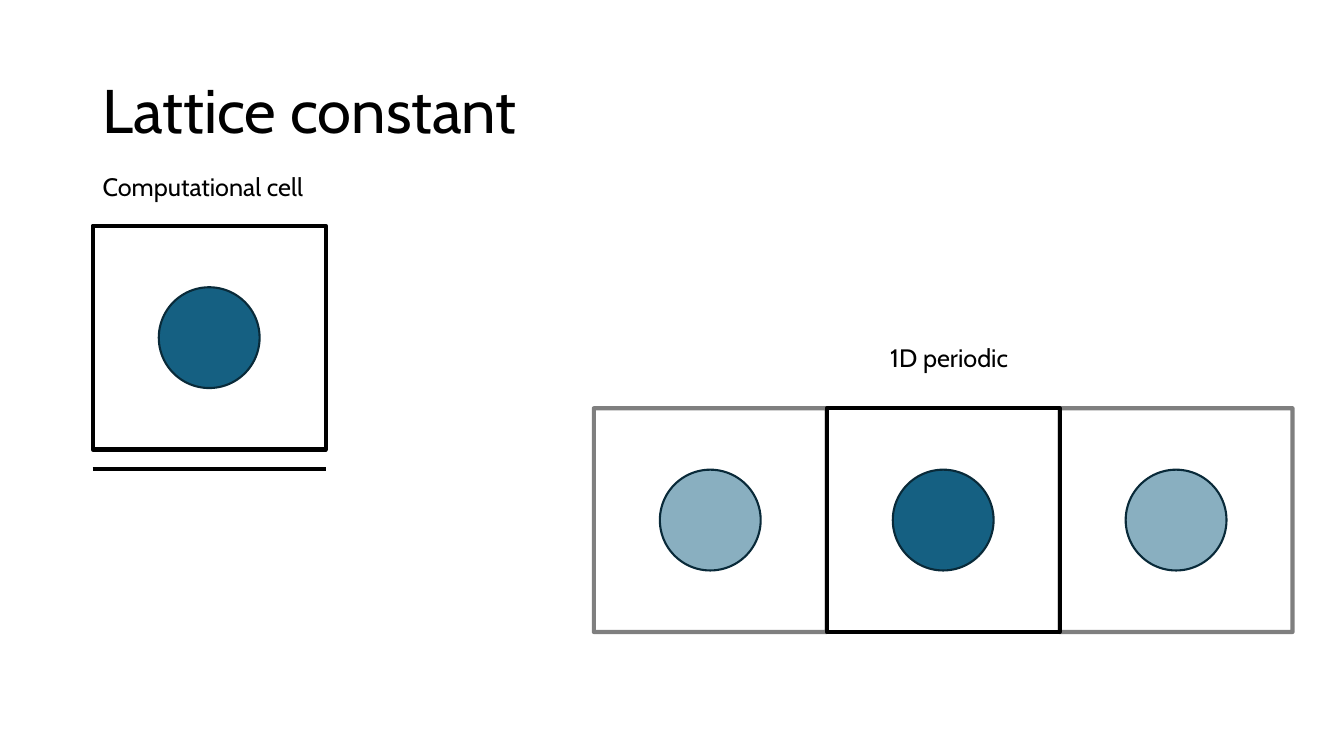
from lxml import etree
from pptx import Presentation
from pptx.dml.color import RGBColor
from pptx.enum.shapes import MSO_CONNECTOR, MSO_SHAPE
from pptx.enum.text import MSO_ANCHOR, PP_ALIGN
from pptx.oxml.ns import qn
from pptx.util import Inches, Pt

BLACK = RGBColor(0x00, 0x00, 0x00)
ATOM_BLUE = RGBColor(0x15, 0x60, 0x82)
ATOM_EDGE = RGBColor(0x09, 0x2A, 0x39)

CELL_WIDTH, CELL_HEIGHT, ATOM_SIZE = 2.31, 2.22, 1
CELL_LEFT, CELL_TOP = 0.92, 2.24
PERIODIC_LEFT, PERIODIC_TOP = 5.89, 4.05


def write(frame, text, size):
    para = frame.paragraphs[0]
    para.alignment = PP_ALIGN.LEFT
    span = para.add_run()
    span.text = text
    formats = {"name": "Cabin", "size": Pt(size)}
    for name, value in formats.items():
        setattr(span.font, name, value)
    span.font.color.rgb = BLACK
    return para


def add_cell(left, top, is_image):
    """Draw an atom centred in its cell; a periodic image is half transparent."""
    atom = slide.shapes.add_shape(
        MSO_SHAPE.OVAL,
        Inches(left + (CELL_WIDTH - ATOM_SIZE) / 2),
        Inches(top + (CELL_HEIGHT - ATOM_SIZE) / 2),
        Inches(ATOM_SIZE), Inches(ATOM_SIZE))
    atom.fill.solid()
    atom.fill.fore_color.rgb = ATOM_BLUE
    atom.line.color.rgb = ATOM_EDGE
    atom.line.width = Pt(1.5)

    cell = slide.shapes.add_shape(
        MSO_SHAPE.RECTANGLE, Inches(left), Inches(top),
        Inches(CELL_WIDTH), Inches(CELL_HEIGHT))
    cell.fill.background()
    cell.line.color.rgb = BLACK
    cell.line.width = Pt(3)

    for shape in (atom, cell):
        shape.shadow.inherit = False
    if is_image:
        for paint in (atom.fill, cell.line.fill):
            color = paint._xPr.find(qn("a:solidFill"))[0]
            etree.SubElement(color, qn("a:alpha"), val="50000")


deck = Presentation()
deck.slide_width, deck.slide_height = Inches(13.33), Inches(7.5)
slide = deck.slides.add_slide(deck.slide_layouts[5])

title = slide.shapes.title
title.left, title.top = Inches(0.92), Inches(0.4)
title.width, title.height = Inches(11.5), Inches(1.45)
title.text_frame.vertical_anchor = MSO_ANCHOR.MIDDLE
write(title.text_frame, "Lattice constant", 44).line_spacing = 0.9

add_cell(CELL_LEFT, CELL_TOP, False)

ruler = slide.shapes.add_connector(
    MSO_CONNECTOR.STRAIGHT, Inches(CELL_LEFT), Inches(4.65),
    Inches(CELL_LEFT + CELL_WIDTH), Inches(4.65))
ruler.line.color.rgb = BLACK
ruler.line.width = Pt(3)
etree.SubElement(ruler._element.spPr, qn("a:effectLst"))

for column, is_image in ((1, False), (0, True), (2, True)):
    add_cell(PERIODIC_LEFT + column * CELL_WIDTH, PERIODIC_TOP, is_image)

labels = [
    ("Computational cell", 0.92, 1.65, 2.55),
    ("1D periodic", 8.73, 3.35, 2.68),
]
for text, left, top, width in labels:
    box = slide.shapes.add_textbox(
        Inches(left), Inches(top), Inches(width), Inches(0.4))
    box.text_frame.word_wrap = True
    write(box.text_frame, text, 18)

deck.save("out.pptx")
